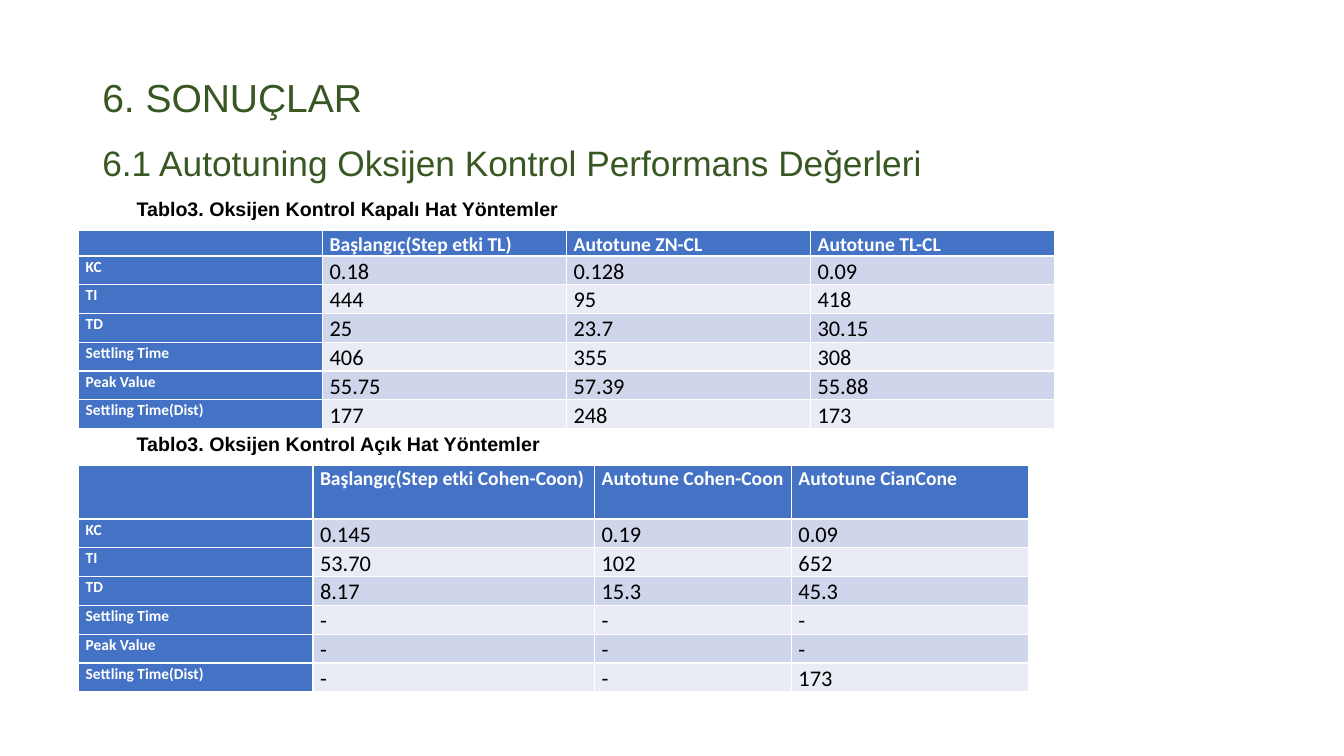
import pptx
import pptx.dml.color
import pptx.enum.text
import pptx.oxml.ns
import pptx.util
from lxml import etree

Pt = pptx.util.Pt
ALIGN = pptx.enum.text.PP_ALIGN
ANCHOR = pptx.enum.text.MSO_ANCHOR

LABELS = ["KC", "TI", "TD", "Settling Time", "Peak Value", "Settling Time(Dist)"]
CLOSED = [
    ["Başlangıç(Step etki TL)", "Autotune ZN-CL", "Autotune TL-CL"],
    ["0.18", "0.128", "0.09"],
    ["444", "95", "418"],
    ["25", "23.7", "30.15"],
    ["406", "355", "308"],
    ["55.75", "57.39", "55.88"],
    ["177", "248", "173"],
]
OPEN = [
    ["Başlangıç(Step etki Cohen-Coon)", "Autotune Cohen-Coon", "Autotune CianCone"],
    ["0.145", "0.19", "0.09"],
    ["53.70", "102", "652"],
    ["8.17", "15.3", "45.3"],
    ["-", "-", "-"],
    ["-", "-", "-"],
    ["-", "-", "173"],
]


def color(code):
    return pptx.dml.color.RGBColor.from_string(code)


class Page:
    head = "4472C4"
    bands = ("CFD5EA", "E9EBF5")
    green = "385723"
    white = "FFFFFF"
    black = "000000"

    def __init__(self, slide):
        self.slide = slide

    def run(self, para, text, size, tint, bold=False, face="Arial"):
        run = para.add_run()
        run.text = text
        run.font.size = Pt(size)
        run.font.name = face
        run.font.bold = bold
        run.font.color.rgb = color(tint)

    def box(self, left, top, width, height, anchor):
        """Add a wrapping text box and return its first paragraph."""
        shape = self.slide.shapes.add_textbox(Pt(left), Pt(top), Pt(width), Pt(height))
        frame = shape.text_frame
        frame.word_wrap = True
        frame.vertical_anchor = anchor
        return frame.paragraphs[0]

    def title(self, first, second):
        para = self.box(66, 34.5, 828, 97.5, ANCHOR.MIDDLE)
        para.line_spacing = 1.5
        self.run(para, first, 27.9, self.green)
        para.add_line_break()
        self.run(para, second, 25.2, self.green)

    def caption(self, top, text):
        para = self.box(90.5, top, 389.5, 19.5, ANCHOR.TOP)
        para.alignment = ALIGN.JUSTIFY
        para.line_spacing = 0.9
        para.space_before = Pt(5)
        self.run(para, text, 14, self.black, True)

    def cell(self, cell, text, size, tint, bold, fill):
        cell.margin_left = cell.margin_right = Pt(5)
        cell.margin_top = cell.margin_bottom = 0
        cell.fill.solid()
        cell.fill.fore_color.rgb = color(fill)
        para = cell.text_frame.paragraphs[0]
        para.line_spacing = 1.07
        if text:
            self.run(para, text, size, tint, bold, "Calibri")
        else:
            # Keeps the empty corner from stretching its row
            etree.SubElement(para._p, pptx.oxml.ns.qn("a:endParaRPr"), sz=str(size * 100))

    def table(self, top, widths, tall, data):
        heights = [tall] + [18.9] * len(LABELS)
        frame = self.slide.shapes.add_table(
            len(heights), len(widths), Pt(56.2), Pt(top), Pt(sum(widths)), Pt(sum(heights)))
        table = frame.table
        table.first_col = True
        for col, width in zip(table.columns, widths):
            col.width = Pt(width)
        for row, height in zip(table.rows, heights):
            row.height = Pt(height)
        for i, (label, values) in enumerate(zip([""] + LABELS, data)):
            for j, text in enumerate([label] + values):
                if i == 0:
                    look = 14, self.white, True, self.head
                elif j == 0:
                    look = 11, self.white, True, self.head
                else:
                    look = 16, self.black, False, self.bands[(i - 1) % 2]
                self.cell(table.cell(i, j), text, *look)


def main():
    deck = pptx.Presentation()
    deck.slide_width, deck.slide_height = Pt(960), Pt(540)
    page = Page(deck.slides.add_slide(deck.slide_layouts[6]))
    page.title("6. SONUÇLAR", "6.1 Autotuning Oksijen Kontrol Performans Değerleri")
    page.caption(139, "Tablo3. Oksijen Kontrol Kapalı Hat Yöntemler")
    page.table(164.8, [174.3] * 4, 16.8, CLOSED)
    page.caption(306.8, "Tablo3. Oksijen Kontrol Açık Hat Yöntemler")
    page.table(332.4, [167.4, 201.2, 140.6, 169.6], 38.4, OPEN)
    deck.save("out.pptx")


if __name__ == "__main__":
    main()
